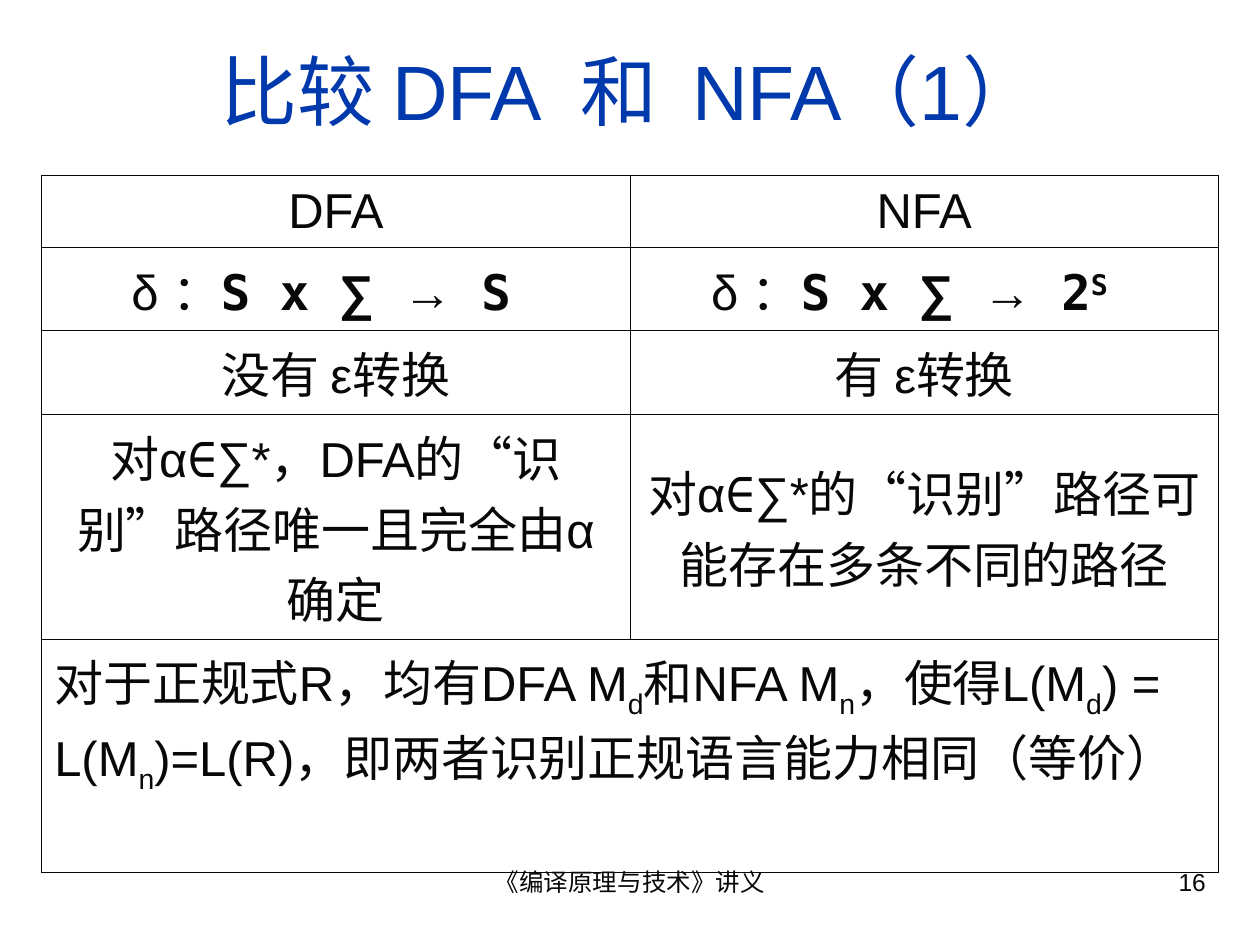
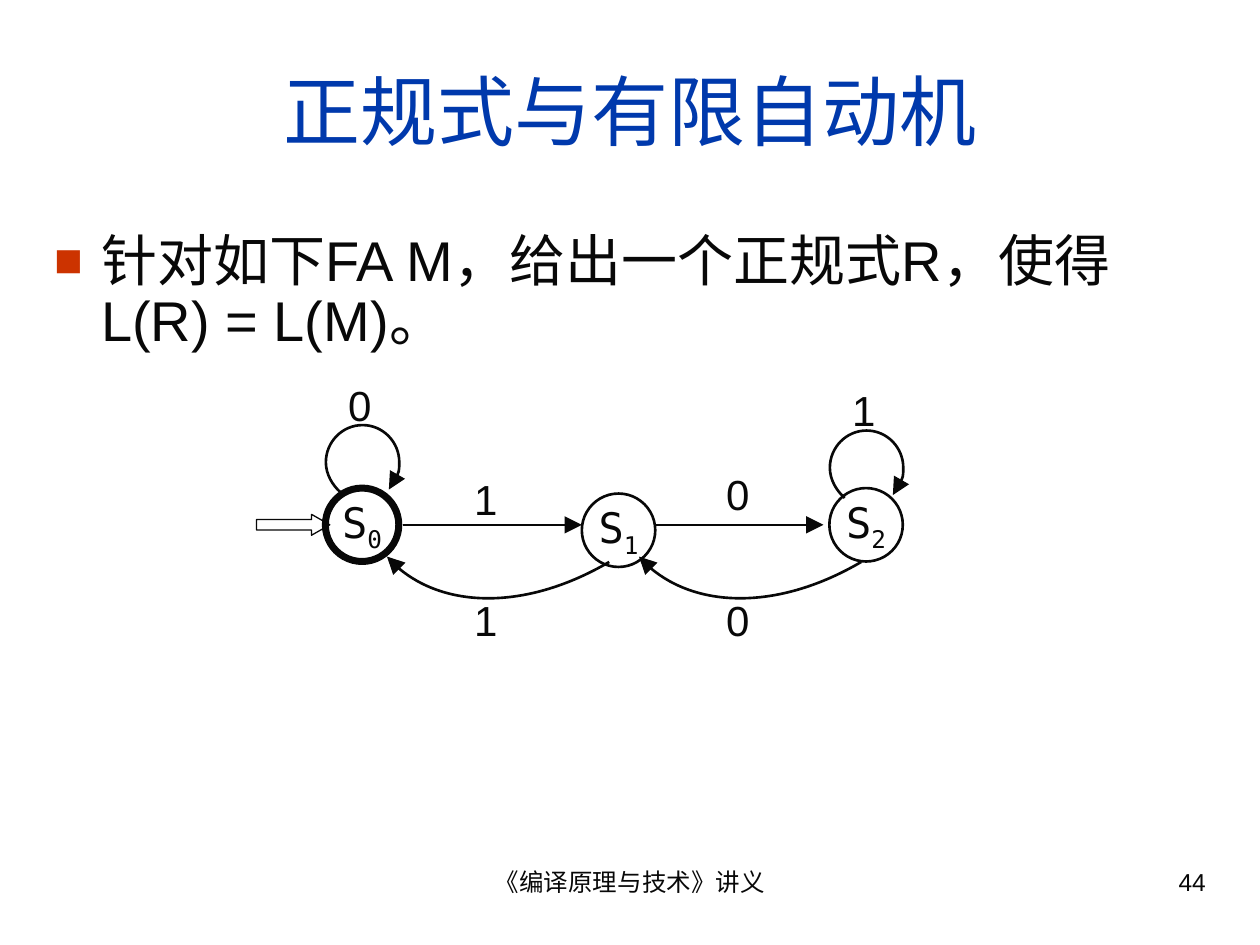
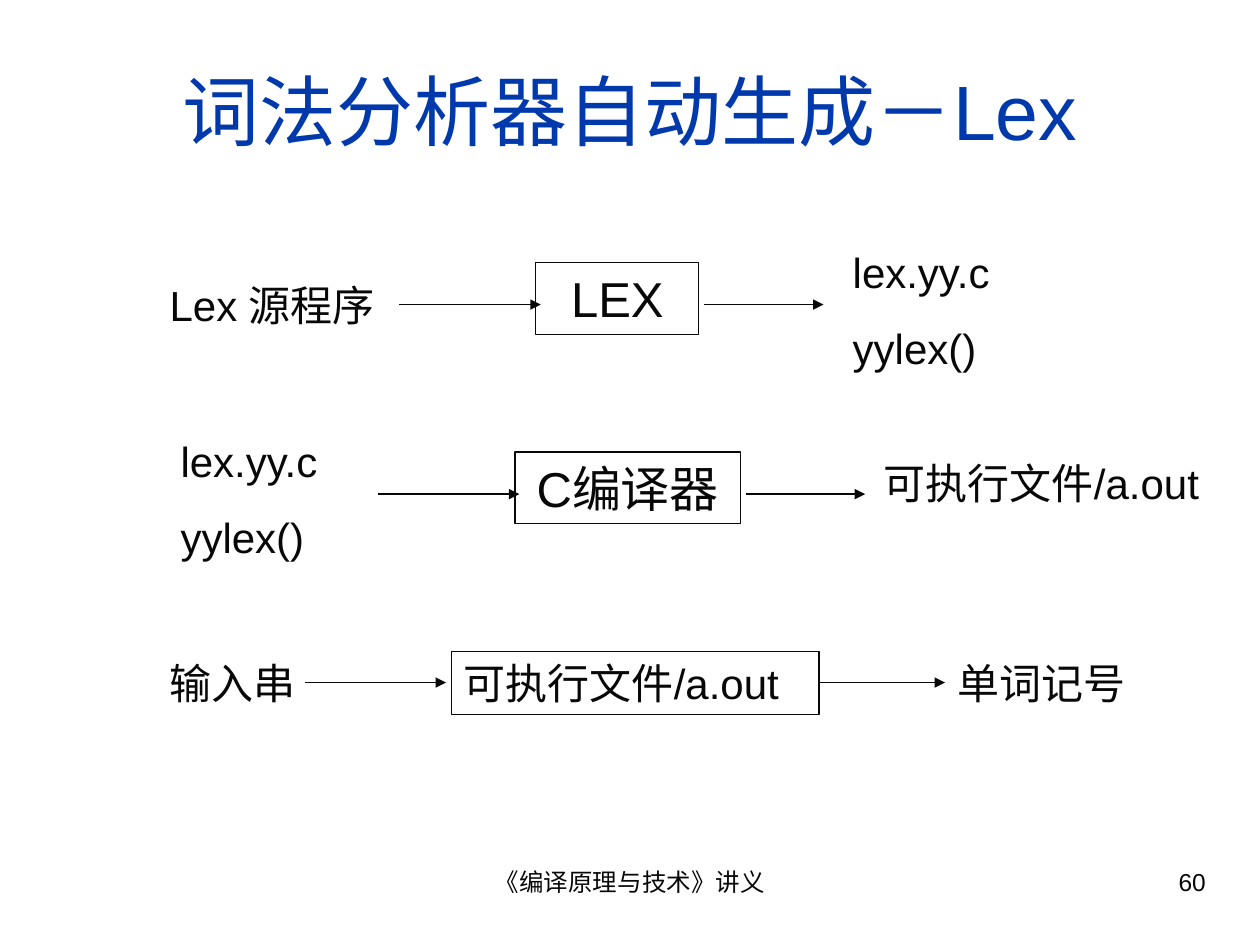
from lxml import etree
from pptx import Presentation
from pptx import util as u
from pptx.dml.color import RGBColor
from pptx.enum import shapes, text
from pptx.oxml.ns import qn

COLORS = {"ink": "080808", "title": "0039AC", "bullet": "CC3300"}
SANS, MONO = "Arial", "DejaVu Sans Mono"
LEFT, CENTER, RIGHT = text.PP_ALIGN.LEFT, text.PP_ALIGN.CENTER, text.PP_ALIGN.RIGHT
TOP, MIDDLE = text.MSO_ANCHOR.TOP, text.MSO_ANCHOR.MIDDLE
BASELINES = {"^": "30000", "_": "-25000"}


def write(frame, lines, size, align=LEFT, before=0, color="ink", font=SANS, anchor=TOP, wrap=True):
    frame.word_wrap = wrap
    frame.vertical_anchor = anchor
    for number, line in enumerate(lines):
        paragraph = frame.add_paragraph() if number else frame.paragraphs[0]
        paragraph.alignment = align
        paragraph.space_before = u.Pt(before)
        paragraph.font.size = u.Pt(size)
        paragraph.font.name = font
        paragraph.font.color.rgb = RGBColor.from_string(COLORS[color])
        for words, marks in [(line, "")] if isinstance(line, str) else line:
            run = paragraph.add_run()
            run.text = words
            if "m" in marks:
                run.font.name = MONO
            if "b" in marks:
                run.font.bold = True
            for mark in set(marks) & set(BASELINES):
                run.font._element.set("baseline", BASELINES[mark])


def outline(shape, width, arrow=None):
    shape.line.color.rgb = RGBColor.from_string(COLORS["ink"])
    shape.line.width = u.Pt(width)
    if arrow:
        etree.SubElement(
            shape.line._get_or_add_ln(), qn("a:tailEnd"), type="triangle", w=arrow, len=arrow
        )
    etree.SubElement(shape._element.spPr, qn("a:effectLst"))
    if hasattr(shape, "fill"):
        shape.fill.background()


deck = Presentation()
deck.slide_width, deck.slide_height = u.Cm(25.4), u.Cm(19.05)

pages = []
for heading, title_height, page_number in [
    ("比较 DFA  和  NFA（1）", 2.33, "16"),
    ("正规式与有限自动机", 3.16, "44"),
    ("词法分析器自动生成－Lex", 3.16, "60"),
]:
    page = deck.slides.add_slide(deck.slide_layouts[5])
    title = page.shapes.title
    title.left, title.top, title.width, title.height = map(u.Cm, (0.85, 0.64, 23.7, title_height))
    write(title.text_frame, [heading], 44, CENTER, color="title", anchor=MIDDLE)
    title.text_frame.auto_size = text.MSO_AUTO_SIZE.NONE
    for words, left, width, align in [
        ("《编译原理与技术》讲义", 8.68, 8.04, CENTER),
        (page_number, 18.21, 6.35, RIGHT),
    ]:
        footer = page.shapes.add_textbox(u.Cm(left), u.Cm(17.36), u.Cm(width), u.Cm(1.31))
        write(footer.text_frame, [words], 14, align)
    pages.append(page)
comparison, automaton, generator = pages

mapping = [("δ ：", ""), ("S x ", "mb"), ("∑", "b"), (" ", "mb"), ("→", "b")]
comparison_rows = [
    ["DFA", "NFA"],
    [mapping + [(" S ", "mb")], mapping + [(" 2", "mb"), ("S", "mb^"), (" ", "mb")]],
    ["没有 ε转换", "有 ε转换"],
    [
        [("对α", ""), ("∈", "m"), ("∑*，DFA的“识别”路径唯一且完全由α确定", "")],
        [("对α", ""), ("∈", "m"), ("∑*的“识别”路径可能存在多条不同的路径", "")],
    ],
    [[
        ("对于正规式R，均有DFA M", ""), ("d", "_"), ("和NFA M", ""), ("n", "_"),
        ("，使得L(M", ""), ("d", "_"), (") = L(M", ""), ("n", "_"),
        (")=L(R)，即两者识别正规语言能力相同（等价）", ""),
    ]],
]
row_heights = [1.45, 1.68, 1.69, 4.53, 4.7]
table = comparison.shapes.add_table(
    5, 2, u.Cm(0.84), u.Cm(3.53), u.Cm(23.72), u.Cm(sum(row_heights))
).table
table.first_row = table.horz_banding = False
for column in table.columns:
    column.width = u.Cm(11.86)
last = len(comparison_rows) - 1
table.cell(last, 0).merge(table.cell(last, 1))
for r, height in enumerate(row_heights):
    table.rows[r].height = u.Cm(height)
    for c in range(2):
        cell = table.cell(r, c)
        for edge in ("lnL", "lnR", "lnT", "lnB"):
            border = etree.SubElement(
                cell._tc.get_or_add_tcPr(), qn("a:" + edge), w=str(u.Pt(0.45))
            )
            paint = etree.SubElement(border, qn("a:solidFill"))
            etree.SubElement(paint, qn("a:srgbClr"), val=COLORS["ink"])
        cell.fill.background()
    for c, content in enumerate(comparison_rows[r]):
        cell = table.cell(r, c)
        write(cell.text_frame, [content], 28, LEFT if r == last else CENTER, 7)
        cell.vertical_anchor = TOP if r == last else MIDDLE

task = automaton.shapes.add_textbox(u.Cm(0.84), u.Cm(4.57), u.Cm(23.72), u.Cm(12.5))
write(task.text_frame, ["针对如下FA M，给出一个正规式R，使得L(R) = L(M)。"], 32, before=8)
task_line = task.text_frame.paragraphs[0]
task_line.line_spacing = 0.9
task_props = task_line._p.get_or_add_pPr()
task_props.set("marL", str(u.Cm(0.95)))
task_props.set("indent", str(u.Cm(-0.95)))
bullet_color = etree.Element(qn("a:buClr"))
etree.SubElement(bullet_color, qn("a:srgbClr"), val=COLORS["bullet"])
for part in [
    bullet_color,
    etree.Element(qn("a:buSzPct"), val="85000"),
    etree.Element(qn("a:buFont"), typeface=SANS),
    etree.Element(qn("a:buChar"), char="■"),
]:
    task_props[-1].addprevious(part)

for index, left, top, weight in [("0", 6.56, 9.84, 4), ("1", 11.73, 9.95, 1.5), ("2", 16.72, 9.84, 1.5)]:
    state = automaton.shapes.add_shape(
        shapes.MSO_SHAPE.OVAL, u.Cm(left), u.Cm(top), u.Cm(1.48), u.Cm(1.48)
    )
    outline(state, weight)
    write(state.text_frame, [[("S", ""), (index, "_")]], 24, CENTER, font=MONO, anchor=MIDDLE, wrap=False)

start = automaton.shapes.add_shape(
    shapes.MSO_SHAPE.RIGHT_ARROW, u.Cm(5.17), u.Cm(10.37), u.Cm(1.48), u.Cm(0.42)
)
start.adjustments[0], start.adjustments[1] = 0.5, 0.876
outline(start, 0.75)

for symbol, left, top in [
    ("0", 6.77, 7.52), ("1", 9.31, 9.42), ("0", 14.39, 9.31),
    ("1", 9.31, 11.85), ("0", 14.39, 11.85), ("1", 16.93, 7.62),
]:
    label = automaton.shapes.add_textbox(u.Cm(left), u.Cm(top), u.Cm(1.48), u.Cm(1.27))
    write(label.text_frame, [symbol], 24, before=15)

self_loop = [
    (0.3, 1.36), (0.13, 1.21), (0, 0.99), (0, 0.75), (0, 0.34), (0.33, 0), (0.74, 0),
    (1.15, 0), (1.48, 0.34), (1.48, 0.75), (1.48, 0.96), (1.4, 1.16), (1.27, 1.3),
]
way_back = [(0, 0), (1.92, 0), (3.57, 1), (3.81, 2.36)]
for controls, left, top, width, height, turn in [
    (self_loop, 6.57, 8.57, 1.48, 1.36, 0),
    (self_loop, 16.73, 8.68, 1.48, 1.36, 0),
    (way_back, 8.04, 9.74, 3.81, 2.74, 149.6),
    (way_back, 13.12, 9.74, 3.81, 2.74, 149.6),
]:
    points = [(u.Cm(left + x), u.Cm(top + y)) for x, y in controls]
    builder = automaton.shapes.build_freeform(*points[0])
    builder.add_line_segments(points[1:], close=False)
    transition = builder.convert_to_shape()
    transition.width, transition.height = u.Cm(width), u.Cm(height)
    transition.rotation = turn
    contour = next(transition._element.iter(qn("a:path")))
    contour.set("w", str(u.Cm(width)))
    contour.set("h", str(u.Cm(height)))
    segments = list(contour)[1:]
    for i in range(0, len(segments), 3):
        bend = etree.SubElement(contour, qn("a:cubicBezTo"))
        for segment in segments[i:i + 3]:
            bend.append(segment[0])
            contour.remove(segment)
    outline(transition, 1.5, "lg")

for words, left, top, width, height, size, align in [
    ("LEX", 10.8, 5.29, 3.29, 1.45, 28, CENTER),
    ("C编译器", 10.38, 9.11, 4.55, 1.45, 28, CENTER),
    ("可执行文件/a.out", 9.1, 13.13, 7.41, 1.27, 24, LEFT),
]:
    tool = generator.shapes.add_shape(
        shapes.MSO_SHAPE.RECTANGLE, u.Cm(left), u.Cm(top), u.Cm(width), u.Cm(height)
    )
    outline(tool, 0.75)
    write(tool.text_frame, [words], size, align, size * 0.625)

scanner = ["lex.yy.c", "yylex()"]
for lines, left, top, width, height in [
    (["Lex 源程序"], 3.17, 5.5, 5.26, 1.27),
    (scanner, 16.94, 4.84, 4.23, 2.81),
    (scanner, 3.39, 8.65, 4.23, 2.81),
    (["可执行文件/a.out"], 17.57, 9.1, 7.41, 1.27),
    (["输入串"], 3.17, 13.12, 4.23, 1.27),
    (["单词记号"], 19.05, 13.12, 4.23, 1.27),
]:
    data = generator.shapes.add_textbox(u.Cm(left), u.Cm(top), u.Cm(width), u.Cm(height))
    write(data.text_frame, lines, 24, before=15)

for page, y, begin, end, weight, arrow_size in [
    (automaton, 10.58, 8.12, 11.73, 1.5, "lg"),
    (automaton, 10.58, 13.21, 16.6, 1.5, "lg"),
    (generator, 6.14, 8.04, 10.9, 0.75, "med"),
    (generator, 6.14, 14.19, 16.6, 0.75, "med"),
    (generator, 9.96, 7.62, 10.47, 0.75, "med"),
    (generator, 9.96, 15.03, 17.44, 0.75, "med"),
    (generator, 13.76, 6.14, 8.99, 0.75, "med"),
    (generator, 13.76, 16.51, 19.05, 0.75, "med"),
]:
    arrow = page.shapes.add_connector(
        shapes.MSO_CONNECTOR.STRAIGHT, u.Cm(begin), u.Cm(y), u.Cm(end), u.Cm(y)
    )
    outline(arrow, weight, arrow_size)

deck.save("out.pptx")
